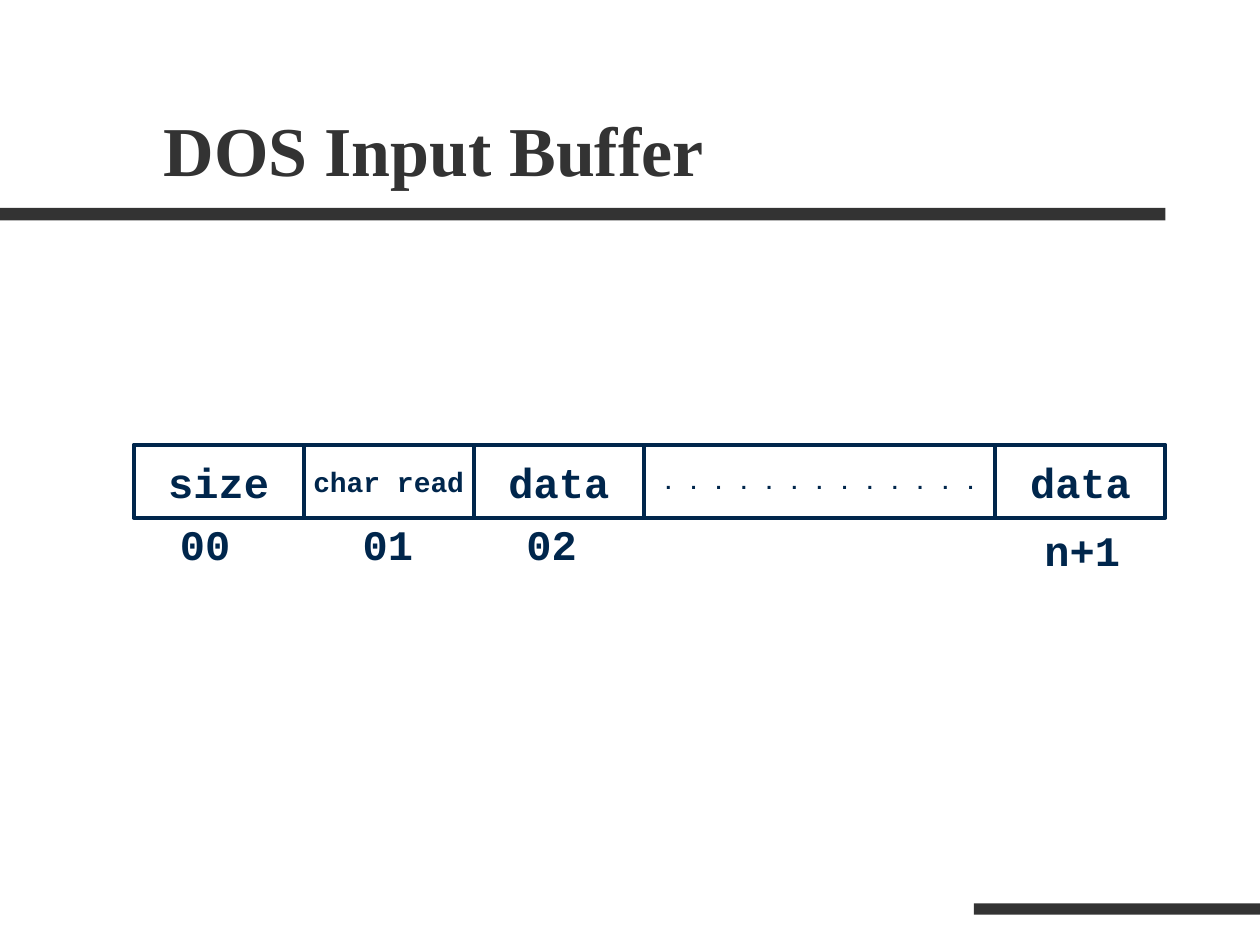
"""Build the DOS input buffer slide."""
from pptx import Presentation
from pptx.dml.color import RGBColor
from pptx.enum.shapes import MSO_SHAPE
from pptx.enum.text import MSO_ANCHOR, PP_ALIGN
from pptx.util import Inches, Pt

WIDE, HIGH = 10, 7.5
COLORS = {"bar": "333333", "ink": "00264C"}
SERIF, MONO = "Times New Roman", "Courier New"
TITLE = "DOS Input Buffer"
BARS = [(0, 1.65, 9.25, 0.1), (7.73, 7.17, 2.27, 0.09)]
CELLS = [
    ("size", 24, 1.35),
    ("char read", 16, 1.35),
    ("data", 24, 1.35),
    (". . . . . . . . . . . . .", 12, 2.79),
    ("data", 24, 1.35),
]
LEFT, TOP, TALL = 1.06, 3.53, 0.58
LABELS = [
    ("00", 1.33, 4.07, 0.69),
    ("01", 2.78, 4.07, 0.69),
    ("02", 4.08, 4.07, 0.69),
    ("n+1", 8.19, 4.11, 0.82),
]


def color(name):
    return RGBColor.from_string(COLORS[name])


def write(shape, text, size, face, ink, anchor, align=PP_ALIGN.LEFT, wrap=True):
    frame = shape.text_frame
    frame.text = text
    frame.word_wrap = wrap
    frame.vertical_anchor = anchor
    line = frame.paragraphs[0]
    line.alignment = align
    font = line.runs[0].font
    font.name, font.size, font.bold = face, Pt(size), True
    font.color.rgb = color(ink)


def block(slide, area):
    shape = slide.shapes.add_shape(MSO_SHAPE.RECTANGLE, *map(Inches, area))
    shape.shadow.inherit = False
    return shape


def main():
    deck = Presentation()
    deck.slide_width, deck.slide_height = Inches(WIDE), Inches(HIGH)
    slide = deck.slides.add_slide(deck.slide_layouts[6])

    for area in BARS:
        bar = block(slide, area)
        bar.fill.solid()
        bar.fill.fore_color.rgb = color("bar")
        bar.line.fill.background()

    title = slide.shapes.add_textbox(*map(Inches, (1.2, 0.31, 8.5, 1.25)))
    write(title, TITLE, 40, SERIF, "bar", MSO_ANCHOR.BOTTOM)

    left = LEFT
    for text, size, width in CELLS:
        cell = block(slide, (left, TOP, width, TALL))
        cell.fill.background()
        cell.line.color.rgb = color("ink")
        cell.line.width = Pt(2.25)
        write(cell, text, size, MONO, "ink", MSO_ANCHOR.MIDDLE, PP_ALIGN.CENTER, False)
        left += width

    for text, x, y, width in LABELS:
        label = slide.shapes.add_textbox(*map(Inches, (x, y, width, 0.5)))
        write(label, text, 24, MONO, "ink", MSO_ANCHOR.TOP)

    deck.save("out.pptx")


if __name__ == "__main__":
    main()
